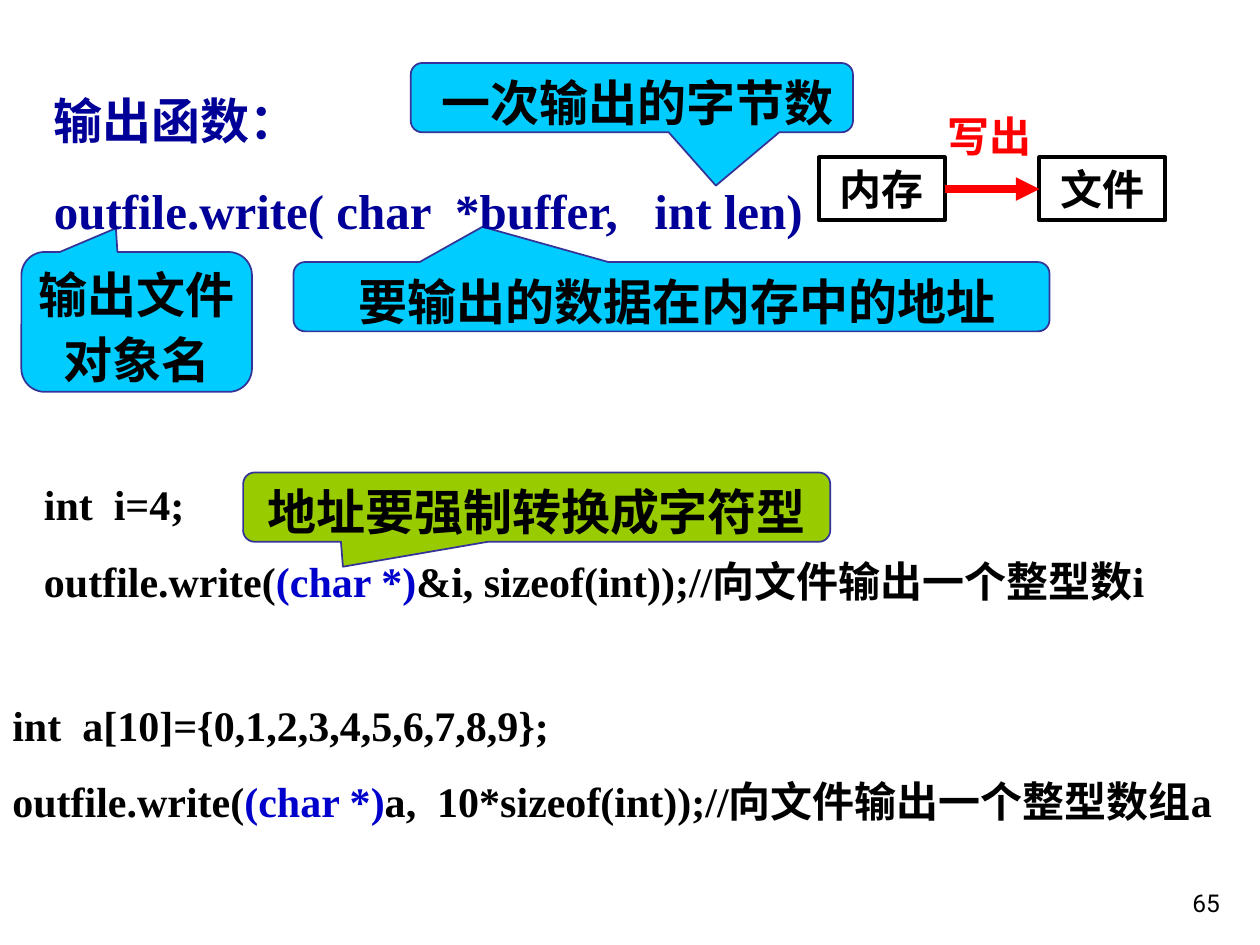
from lxml import etree
from pptx import Presentation
from pptx import util as u
from pptx.dml.color import RGBColor
from pptx.enum import shapes, text
from pptx.oxml.ns import qn

FONT = "Times New Roman"
BLACK, RED, NAVY, CAST_BLUE = "000000", "FF0000", "000099", "0000CC"
CYAN, GREEN, OUTLINE = "00CCFF", "99CC00", "333399"
CENTER = text.PP_ALIGN.CENTER

OBJECT_CALLOUT = ("输出文件对象名", (0.17, 2, 1.83, 1.11), (-0.09, -0.67), CYAN, True)
BUFFER_CALLOUT = (" 要输出的数据在内存中的地址", (2.33, 2.08, 6, 0.55), (-0.25, -1.01), CYAN, True)
LENGTH_CALLOUT = (" 一次输出的字节数", (3.26, 0.5, 3.51, 0.55), (0.19, 1.27), CYAN, False)
CAST_CALLOUT = ("地址要强制转换成字符型", (1.93, 3.75, 4.66, 0.55), (-0.33, 0.86), GREEN, False)

FLOW_LEFT, FLOW_TOP = 6.5, 1.25
NODE_WIDTH, NODE_HEIGHT, NODE_GAP = 1, 0.5, 0.75


def color(value):
    """Turn a hex string into a colour."""
    return RGBColor.from_string(value)


def inches(box):
    """Convert a sequence of lengths to inches."""
    return [u.Inches(length) for length in box]


def write(frame, paragraphs, size, ink=BLACK, before=0, align=None,
          font=FONT, bold=True, spacing=None):
    """Fill a frame with paragraphs given as lists of (words, colour) runs."""
    frame.vertical_anchor = text.MSO_ANCHOR.TOP
    for index, runs in enumerate(paragraphs):
        paragraph = frame.add_paragraph() if index else frame.paragraphs[0]
        paragraph.alignment = align
        paragraph.space_before = u.Pt(before)
        paragraph.line_spacing = spacing
        paragraph.font.name = font
        paragraph.font.size = u.Pt(size)
        paragraph.font.bold = bold
        for words, run_ink in runs:
            run = paragraph.add_run()
            run.text = words
            run.font.color.rgb = color(run_ink or ink)


def add_label(slide, box, paragraphs, size, **style):
    """Add a wrapping text box and return its frame."""
    frame = slide.shapes.add_textbox(*inches(box)).text_frame
    frame.word_wrap = True
    write(frame, paragraphs, size, **style)
    return frame


def add_callout(slide, words, box, tip, fill, wrap):
    """Add a rounded speech callout whose tip is a share of its size."""
    callout = slide.shapes.add_shape(
        shapes.MSO_SHAPE.ROUNDED_RECTANGULAR_CALLOUT, *inches(box))
    callout.adjustments[0], callout.adjustments[1] = tip
    callout.shadow.inherit = False
    callout.fill.solid()
    callout.fill.fore_color.rgb = color(fill)
    callout.line.color.rgb = color(OUTLINE)
    callout.line.width = u.Pt(1)
    frame = callout.text_frame
    frame.margin_left = frame.margin_right = u.Inches(0.02)
    frame.margin_top = frame.margin_bottom = 0
    frame.word_wrap = wrap
    write(frame, [[(words, None)]], 28, before=17.5, align=CENTER, spacing=1.1)


def add_code(slide, box, declaration, argument):
    """Add a declaration and the write call that casts its address."""
    call = [("outfile.write(", None), ("(char *)", CAST_BLUE), (argument, None)]
    add_label(slide, box, [[(declaration, None)], call], 24, before=15)


def add_node(slide, column, words):
    """Add one outlined box of the memory-to-file flow."""
    left = FLOW_LEFT + column * (NODE_WIDTH + NODE_GAP)
    node = slide.shapes.add_shape(
        shapes.MSO_SHAPE.RECTANGLE,
        *inches((left, FLOW_TOP, NODE_WIDTH, NODE_HEIGHT)))
    node.shadow.inherit = False
    node.fill.background()
    node.line.color.rgb = color(BLACK)
    node.line.width = u.Pt(2.25)
    write(node.text_frame, [[(words, None)]], 24, before=15, align=CENTER)


def add_arrow(slide):
    """Join the two flow boxes with a red arrow."""
    start, middle = FLOW_LEFT + NODE_WIDTH, FLOW_TOP + NODE_HEIGHT / 2
    arrow = slide.shapes.add_connector(
        shapes.MSO_CONNECTOR.STRAIGHT,
        *inches((start, middle, start + NODE_GAP, middle)))
    arrow.line.color.rgb = color(RED)
    arrow.line.width = u.Pt(4.5)
    etree.SubElement(arrow.line._get_or_add_ln(), qn("a:tailEnd"), type="triangle")
    etree.SubElement(arrow._element.spPr, qn("a:effectLst"))


def main():
    """Build the slide on writing binary data to a file."""
    deck = Presentation()
    deck.slide_width, deck.slide_height = inches((10, 7.5))
    slide = deck.slides.add_slide(deck.slide_layouts[6])

    number = add_label(slide, (7.7, 6.83, 2.08, 0.5), [[("65", None)]], 14,
                       align=text.PP_ALIGN.RIGHT, font="Roboto", bold=False)
    number.vertical_anchor = text.MSO_ANCHOR.BOTTOM

    for callout in (OBJECT_CALLOUT, BUFFER_CALLOUT, LENGTH_CALLOUT):
        add_callout(slide, *callout)

    add_code(slide, (0, 5.5, 10, 1.11), "int  a[10]={0,1,2,3,4,5,6,7,8,9};",
             "a,  10*sizeof(int));//向文件输出一个整型数组a")
    add_code(slide, (0.25, 3.75, 9.42, 1.11), "int  i=4;",
             "&i, sizeof(int));//向文件输出一个整型数i")
    add_label(slide, (0.33, 0.67, 6.83, 1.28),
              [[("输出函数：", None)],
               [("outfile.write( char  *buffer,   int len)", None)]],
              28, ink=NAVY, before=17.5)

    for column, words in enumerate(("内存", "文件")):
        add_node(slide, column, words)
    add_arrow(slide)
    add_label(slide, (7.42, 0.83, 0.92, 0.5), [[("写出", None)]], 24,
              ink=RED, before=15)

    add_callout(slide, *CAST_CALLOUT)
    deck.save("out.pptx")


if __name__ == "__main__":
    main()
